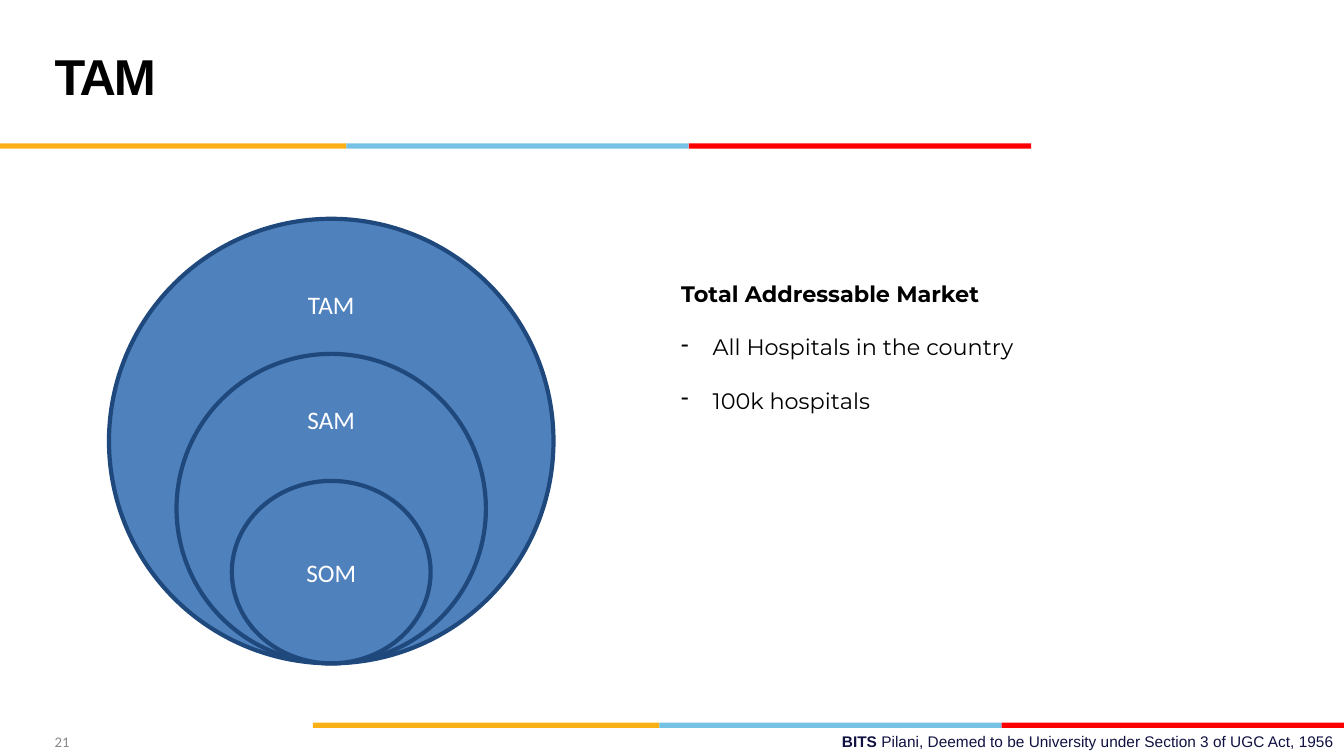
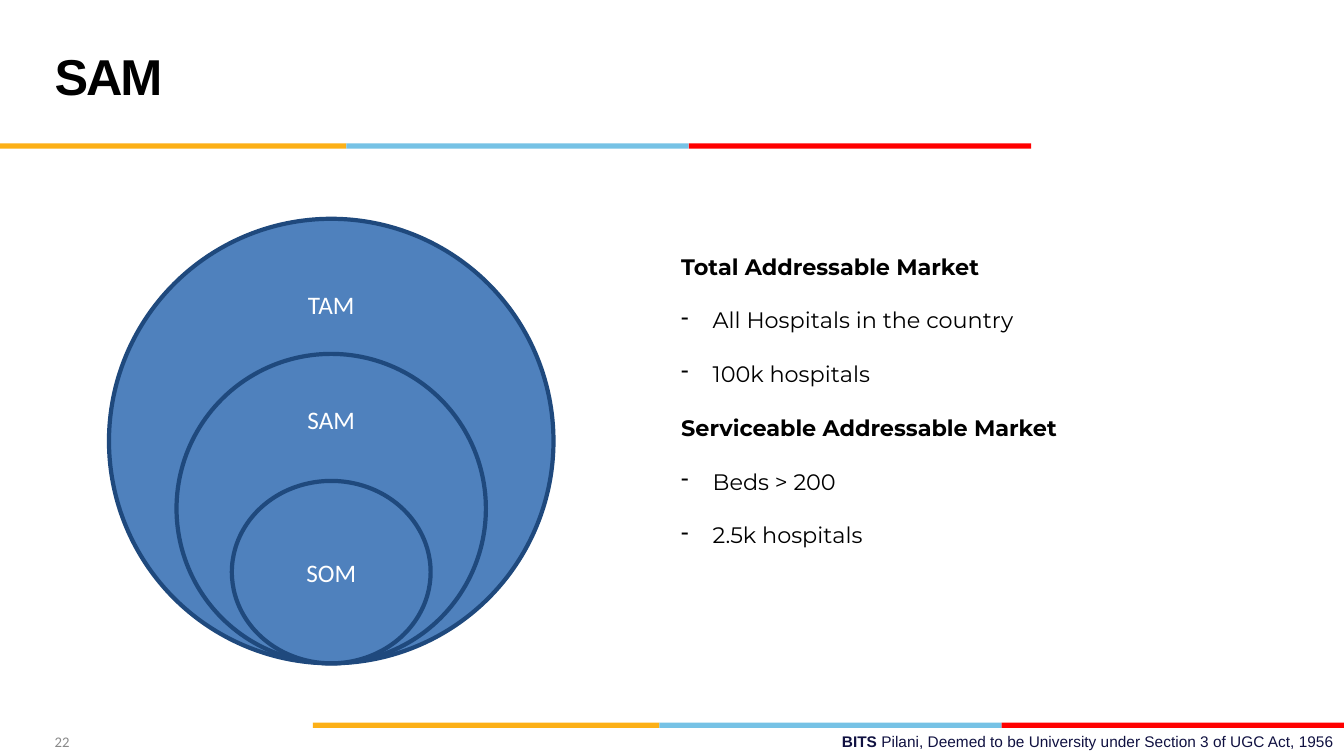
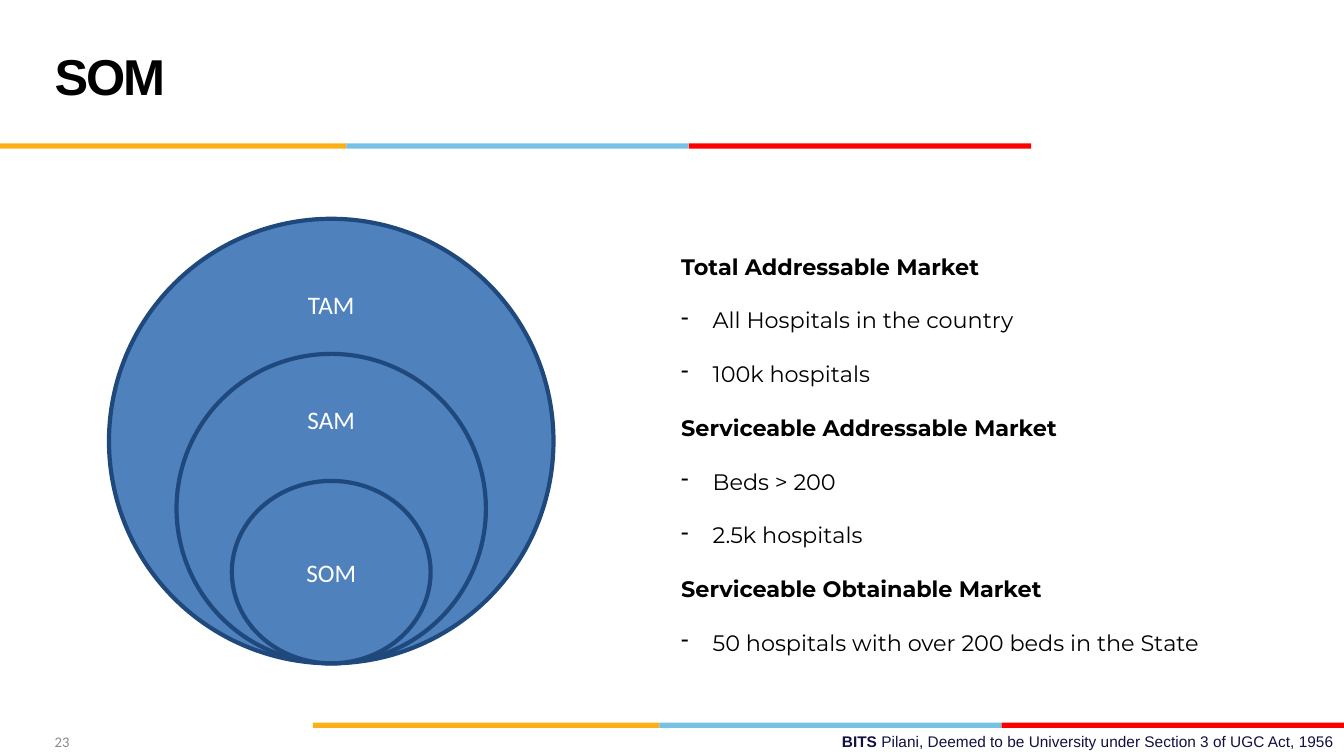
"""Build three slides on nested market sizes: TAM, SAM and SOM."""
from lxml.etree import SubElement
from pptx import Presentation
from pptx.dml.color import RGBColor
from pptx.enum.shapes import MSO_SHAPE
from pptx.enum.text import MSO_ANCHOR, PP_ALIGN
from pptx.oxml.ns import qn
from pptx.util import Pt

hue = RGBColor.from_string

TITLE = {"name": "Arial", "size": Pt(36), "bold": True, "color": "000000"}
STRONG = {"name": "Arial", "size": Pt(11), "bold": True, "color": "101141"}
FOOT = {**STRONG, "bold": False}
NUMBER = {"name": "Calibri", "size": Pt(10.5), "color": "898989"}
LABEL = {"name": "Calibri", "size": Pt(18), "color": "FFFFFF"}
HEAD = {"name": "Montserrat", "size": Pt(16), "bold": True, "color": "000000"}
ITEM = {**HEAD, "bold": False}

BANDS = [(0, 247.5, "FCB017"), (247.5, 244.5, "76C2E5"), (492, 244.5, "FF0000")]
STRIPES = [(0, 102.4), (223.5, 516.2)]
MID, BASE = 236.6, 473.8
RINGS = [
    ("TAM", 317.5, 317.5, MSO_ANCHOR.TOP),
    ("SAM", 221, 221, MSO_ANCHOR.TOP),
    ("SOM", 142, 130.3, MSO_ANCHOR.MIDDLE),
]
TOTAL = ("Total Addressable Market", ["All Hospitals in the country", "100k hospitals"])
SERVED = ("Serviceable Addressable Market", ["Beds > 200", "2.5k hospitals"])
GAINED = ("Serviceable Obtainable Market", ["50 hospitals with over 200 beds in the State"])
PAGES = [
    ("TAM", 180.6, [TOTAL]),
    ("SAM", 161.4, [TOTAL, SERVED]),
    ("SOM", 161.4, [TOTAL, SERVED, GAINED]),
]
PITCH = 38.4


def write(para, text, style):
    """Add a run of text in the given style."""
    run = para.add_run()
    run.text = text
    for key, value in style.items():
        if key == "color":
            run.font.color.rgb = hue(value)
        else:
            setattr(run.font, key, value)


def draw(page, box, kind=None, fill=None):
    """Add a filled shape, or a text box when no kind is given."""
    place = [Pt(n) for n in box]
    if kind is None:
        shape = page.shapes.add_textbox(*place)
    else:
        shape = page.shapes.add_shape(kind, *place)
        shape.shadow.inherit = False
        shape.fill.solid()
        shape.fill.fore_color.rgb = hue(fill)
        shape.line.fill.background()
    shape.text_frame.word_wrap = True
    return shape


deck = Presentation()
deck.slide_width, deck.slide_height = Pt(960), Pt(540)

for number, (name, top, groups) in enumerate(PAGES, 21):
    page = deck.slides.add_slide(deck.slide_layouts[6])

    for start, high in STRIPES:
        for left, width, fill in BANDS:
            draw(page, (start + left, high, width, 3.8), MSO_SHAPE.RECTANGLE, fill)

    foot = draw(page, (344, 519.2, 616, 21)).text_frame.paragraphs[0]
    foot.alignment = PP_ALIGN.RIGHT
    write(foot, "BITS ", STRONG)
    write(foot, "Pilani, Deemed to be University under Section 3 of UGC Act, 1956", FOOT)

    title = draw(page, (32, 12.2, 664, 90))
    title.text_frame.vertical_anchor = MSO_ANCHOR.MIDDLE
    line = title.text_frame.paragraphs[0]
    line.line_spacing = Pt(36)
    write(line, name, TITLE)
    for props in title.element.iter(qn("a:rPr")):
        props.set("spc", "-150")

    count = 0
    lines = sum(1 + len(items) for head, items in groups)
    frame = draw(page, (479.5, top, 414.5, lines * PITCH)).text_frame
    frame.margin_top = frame.margin_bottom = 0
    for head, items in groups:
        for text in [head, *items]:
            para = frame.add_paragraph() if count else frame.paragraphs[0]
            count += 1
            para.line_spacing = 2.0
            if text != head:
                props = para._p.get_or_add_pPr()
                props.set("marL", str(Pt(22.5)))
                props.set("indent", str(Pt(-22.5)))
                SubElement(props, qn("a:buChar"), char="-")
            write(para, text, HEAD if text == head else ITEM)

    for label, width, height, anchor in RINGS:
        box = (MID - width / 2, BASE - height, width, height)
        ring = draw(page, box, MSO_SHAPE.OVAL, "4F81BD")
        ring.line.color.rgb = hue("1F497D")
        ring.line.width = Pt(3)
        ring.text_frame.vertical_anchor = anchor
        para = ring.text_frame.paragraphs[0]
        para.alignment = PP_ALIGN.CENTER
        write(para, label, LABEL)

    mark = draw(page, (32, 519.2, 52, 21)).text_frame
    mark.vertical_anchor = MSO_ANCHOR.MIDDLE
    write(mark.paragraphs[0], str(number), NUMBER)

deck.save("out.pptx")
